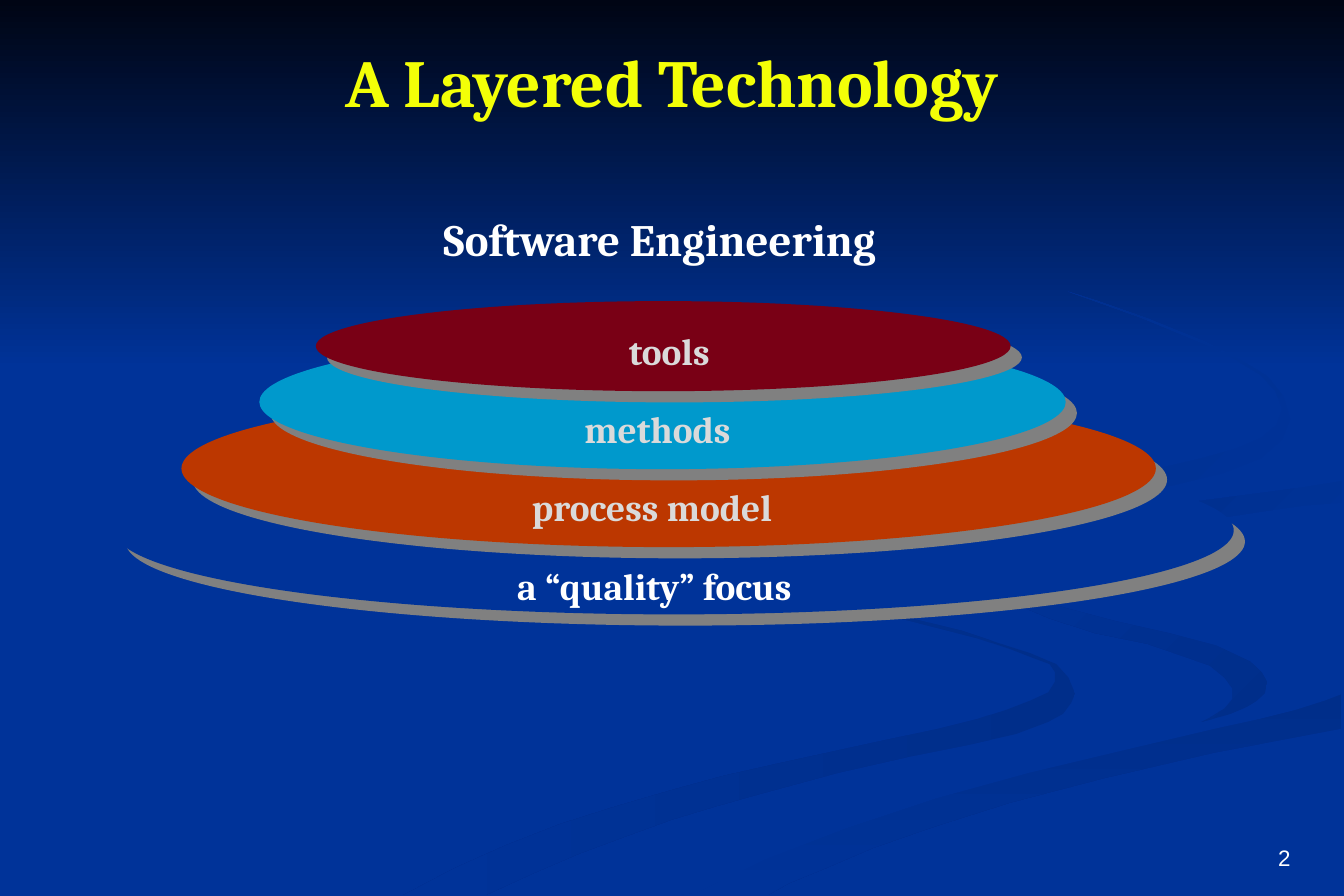
import pptx
import pptx.dml.color
import pptx.enum.shapes
import pptx.enum.text
import pptx.oxml.ns
import pptx.util
import lxml.etree

RGB = pptx.dml.color.RGBColor
ALIGN = pptx.enum.text.PP_ALIGN
ANCHOR = pptx.enum.text.MSO_ANCHOR
PX = 9144
PAGE_HEIGHT = pptx.util.Emu(6094413)

NIGHT = RGB(0x00, 0x05, 0x14)
BLUE = RGB(0x00, 0x33, 0x99)
DEEP_BLUE = RGB(0x00, 0x2E, 0x8A)
YELLOW = RGB(0xF3, 0xFF, 0x07)
WHITE = RGB(0xFF, 0xFF, 0xFF)
PALE = RGB(0xDA, 0xDA, 0xDA)
GRAY = RGB(0x80, 0x80, 0x80)
ORANGE = RGB(0xBC, 0x37, 0x00)
CYAN = RGB(0x00, 0x99, 0xCC)
MAROON = RGB(0x79, 0x00, 0x15)

SKY = [(0, 0), (0, 274), (1000, 274), (1000, 0)]
LOWER_RIBBON = [
    (781, 492), (767, 486), (745, 479), (715, 469), (682, 461), (642, 451), (614, 441),
    (594, 431), (583, 424), (576, 417), (574, 412), (575, 408), (570, 416), (572, 423),
    (581, 430), (593, 437), (611, 443), (654, 456), (697, 467), (728, 475), (752, 483),
    (770, 490), (781, 494), (785, 500), (785, 507), (780, 515), (767, 521), (749, 528),
    (727, 535), (699, 542), (652, 552), (579, 568), (539, 577), (499, 588), (458, 600),
    (417, 613), (376, 629), (338, 646), (300, 666), (361, 666), (396, 650), (431, 635),
    (466, 622), (499, 610), (532, 600), (564, 591), (623, 575), (676, 563), (721, 554),
    (756, 546), (780, 537), (791, 531), (797, 523), (800, 516), (795, 504), (786, 494)]
INNER_CURL = [
    (943, 507), (939, 500), (930, 492), (905, 480), (870, 471), (830, 462), (792, 452),
    (758, 442), (733, 429), (727, 421), (724, 412), (725, 421), (730, 430), (739, 439),
    (755, 449), (781, 460), (815, 471), (854, 479), (880, 488), (900, 495), (911, 504),
    (917, 512), (917, 520), (911, 527), (900, 534), (894, 537), (916, 531), (932, 524),
    (941, 516)]
LOWER_BAND = [
    (519, 664), (503, 666), (571, 666), (587, 657), (614, 646), (649, 631), (695, 615),
    (752, 597), (821, 579), (903, 560), (998, 542), (998, 516), (985, 521), (963, 528),
    (936, 535), (903, 542), (831, 559), (764, 575), (696, 594), (630, 616), (569, 639)]
WIDE_RIBBON = [
    (725, 412), (728, 421), (734, 429), (759, 442), (793, 452), (831, 462), (871, 471),
    (905, 480), (931, 492), (939, 500), (943, 507), (942, 515), (936, 521), (926, 527),
    (911, 533), (892, 538), (869, 543), (813, 556), (743, 572), (663, 594), (573, 625),
    (477, 666), (503, 666), (519, 664), (570, 639), (630, 616), (696, 594), (765, 575),
    (832, 559), (904, 542), (936, 535), (964, 528), (986, 521), (999, 516), (999, 479),
    (974, 474), (941, 469), (904, 461), (848, 448), (817, 437), (794, 427), (784, 417),
    (781, 411), (786, 403), (800, 393), (822, 385), (850, 379), (899, 372), (968, 363),
    (999, 358), (999, 344), (962, 351), (920, 357), (851, 365), (788, 375), (755, 384),
    (732, 396), (727, 404)]
EDGE_CURL = [
    (781, 409), (782, 417), (791, 425), (806, 433), (826, 441), (812, 433), (806, 427),
    (805, 420), (809, 414), (816, 408), (843, 398), (878, 390), (936, 381), (971, 376),
    (998, 374), (998, 358), (967, 363), (898, 372), (849, 379), (821, 385), (799, 393),
    (785, 403)]
UPPER_RIBBON = [
    (695, 385), (765, 377), (825, 369), (873, 361), (910, 352), (938, 341), (954, 327),
    (960, 312), (955, 295), (943, 280), (922, 267), (896, 254), (854, 237), (817, 224),
    (795, 217), (848, 236), (899, 257), (920, 268), (938, 279), (949, 291), (954, 304),
    (950, 316), (938, 326), (919, 334), (894, 341), (864, 348), (795, 358), (721, 367),
    (651, 376), (622, 382), (597, 388), (577, 395), (565, 403), (561, 412), (566, 422),
    (578, 431), (595, 437), (618, 444), (599, 436), (586, 427), (582, 419), (585, 411),
    (598, 404), (620, 397), (652, 390)]

RIBBONS = [
    (SKY, NIGHT, BLUE, 270),
    (LOWER_RIBBON, DEEP_BLUE, BLUE, 180),
    (INNER_CURL, DEEP_BLUE, BLUE, 135),
    (LOWER_BAND, DEEP_BLUE, BLUE, 270),
    (WIDE_RIBBON, BLUE, BLUE, 0),
    (EDGE_CURL, BLUE, DEEP_BLUE, 135),
    (UPPER_RIBBON, BLUE, DEEP_BLUE, 135),
]
LAYERS = [
    ((0, 108, 833, 125), BLUE),
    ((50, 66, 725, 117), ORANGE),
    ((108, 25, 600, 100), CYAN),
    ((150, 0, 517, 67), MAROON),
]
LABELS = [
    ("tools", 373, 82, PALE),
    ("methods", 340, 130, PALE),
    ("process model", 301, 201, PALE),
    ("a “quality” focus", 290, 235, WHITE),
]


def place(left, top, width, height):
    return [value * PX for value in (left, top, width, height)]


def add_text(page, box, text, size, color, font="Cambria", bold=True,
             align=ALIGN.LEFT, anchor=ANCHOR.TOP, wrap=False, insets=(10, 5)):
    frame = page.shapes.add_textbox(*place(*box)).text_frame
    frame.word_wrap = wrap
    frame.vertical_anchor = anchor
    frame.margin_left = frame.margin_right = insets[0] * PX
    frame.margin_top = frame.margin_bottom = insets[1] * PX
    para = frame.paragraphs[0]
    para.text = text
    para.alignment = align
    para.font.name = font
    para.font.size = pptx.util.Pt(size)
    para.font.bold = bold
    para.font.color.rgb = color
    return para


def add_hard_shadow(shape):
    qn = pptx.oxml.ns.qn
    effects = lxml.etree.SubElement(shape._element.spPr, qn("a:effectLst"))
    shadow = lxml.etree.SubElement(
        effects, qn("a:outerShdw"), dist=str(pptx.util.Pt(8.5)), dir="2700000",
        algn="ctr", rotWithShape="0")
    lxml.etree.SubElement(shadow, qn("a:srgbClr"), val=str(GRAY))


def draw_backdrop(page, box):
    left, top = box[:2]
    page.background.fill.solid()
    page.background.fill.fore_color.rgb = BLUE
    for points, start, end, angle in RIBBONS:
        moved = [(left + x, top + y) for x, y in points]
        builder = page.shapes.build_freeform(*moved[0], scale=PX)
        builder.add_line_segments(moved[1:], close=True)
        ribbon = builder.convert_to_shape()
        ribbon.shadow.inherit = False
        ribbon.line.fill.background()
        if start == end:
            ribbon.fill.solid()
            ribbon.fill.fore_color.rgb = start
        else:
            ribbon.fill.gradient()
            ribbon.fill.gradient_angle = angle
            for stop, color in zip(ribbon.fill.gradient_stops, (start, end)):
                stop.color.rgb = color


def draw_headings(page, box):
    left, top, width, height = box
    add_text(page, (left, top, width, 66), "A Layered Technology", 36, YELLOW,
             align=ALIGN.CENTER, wrap=True, insets=(7, 3))
    subtitle = add_text(page, (left + 98, top + height - 46, 352, 46),
                        "Software Engineering", 24, WHITE)
    subtitle.line_spacing = 0.9


def draw_layers(page, box):
    left, top = box[:2]
    for (x, y, width, height), color in LAYERS:
        disc = page.shapes.add_shape(pptx.enum.shapes.MSO_SHAPE.OVAL,
                                     *place(left + x, top + y, width, height))
        disc.fill.solid()
        disc.fill.fore_color.rgb = color
        disc.line.fill.background()
        add_hard_shadow(disc)
    for row, (text, x, width, color) in enumerate(LABELS):
        label_top = top + 15 + 175 * row // 3
        add_text(page, (left + x, label_top, width, 43), text, 20, color)


def draw_page_number(page, box):
    add_text(page, box, "2", 12, WHITE, font="Arial", bold=False,
             align=ALIGN.RIGHT, anchor=ANCHOR.BOTTOM, wrap=True)


def main():
    deck = pptx.Presentation()
    deck.slide_width, deck.slide_height = 1000 * PX, PAGE_HEIGHT
    page = deck.slides.add_slide(deck.slide_layouts[6])
    draw_backdrop(page, (0, 0, 1000, 666))
    draw_headings(page, (222, 27, 556, 176))
    draw_layers(page, (85, 224, 833, 233))
    draw_page_number(page, (901, 607, 69, 46))
    deck.save("out.pptx")


if __name__ == "__main__":
    main()
